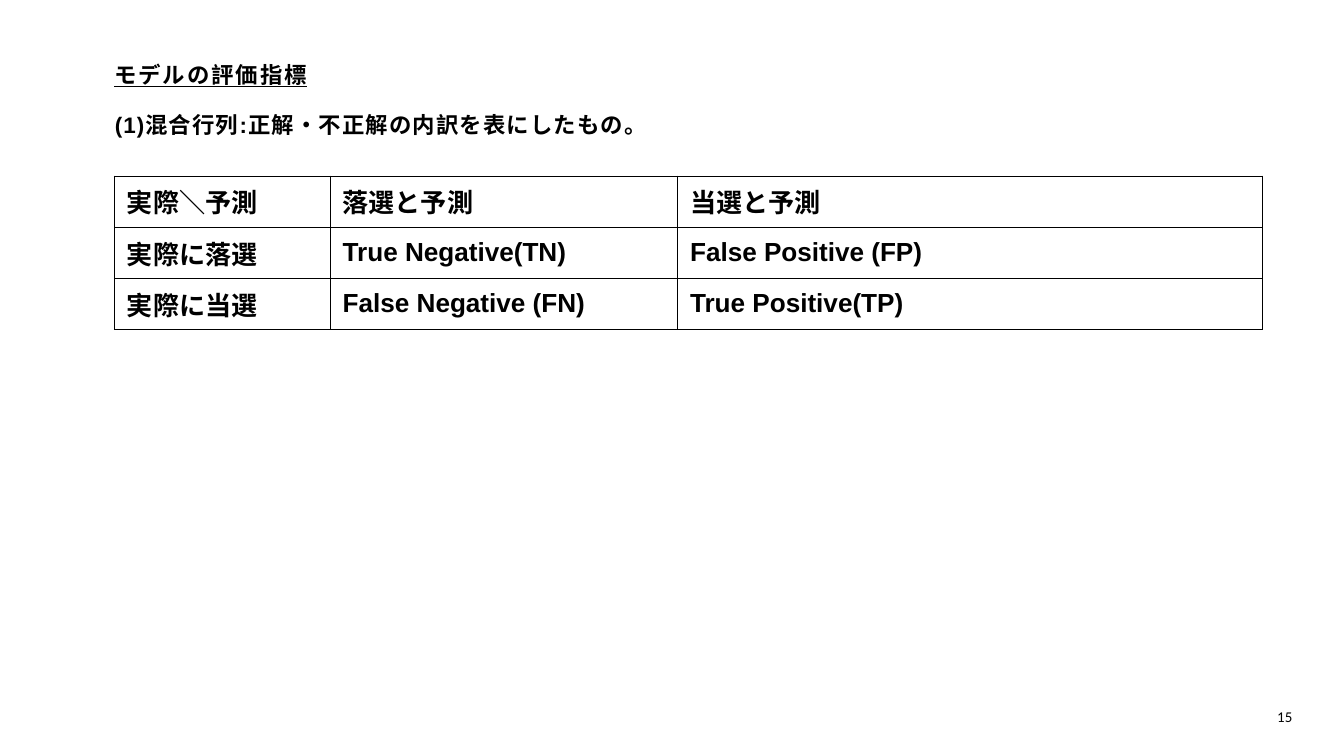
from dataclasses import dataclass

from lxml import etree
from pptx import Presentation
from pptx import util as u
from pptx.dml.color import RGBColor
from pptx.enum import text
from pptx.oxml import ns

BLACK = RGBColor(0x00, 0x00, 0x00)
COLUMN_WIDTHS = (3.21, 5.17, 8.71)
ROW_HEIGHT = 0.76
CONFUSION_MATRIX = (
    ("実際＼予測", "落選と予測", "当選と予測"),
    ("実際に落選", "True Negative(TN)", "False Positive (FP)"),
    ("実際に当選", "False Negative (FN)", "True Positive(TP)"),
)


@dataclass(frozen=True)
class Label:
    """A one-paragraph text box; lengths in inches, type sizes in points."""
    words: str
    left: float
    top: float
    width: float
    height: float
    size: float = 24
    font: str = "Arial"
    bold: bool = True
    underline: bool = False
    tracking: float = 0
    line_spacing: float | u.Pt = 1.0
    level: int = 0
    indent: float = 0
    padding: tuple[float, float] = (0.1, 0.05)
    anchor: text.MSO_ANCHOR = text.MSO_ANCHOR.TOP
    align: text.PP_ALIGN = text.PP_ALIGN.LEFT


LABELS = (
    Label("モデルの評価指標", 1.7, 0.77, 11.6, 0.48, underline=True,
          tracking=2.1, line_spacing=u.Pt(38.4), padding=(0, 0)),
    Label("(1)混合行列:正解・不正解の内訳を表にしたもの。", 1.33, 1.01, 10, 0.92,
          tracking=1.2, line_spacing=2.5, level=1, indent=0.28),
    Label("15", 17, 10.46, 2.33, 0.4, size=16, font="Calibri", bold=False,
          anchor=text.MSO_ANCHOR.MIDDLE, align=text.PP_ALIGN.RIGHT),
)


def style_font(font, name: str, size: float, bold: bool) -> None:
    font.name = name
    font.size = u.Pt(size)
    font.bold = bold
    font.color.rgb = BLACK


def add_label(page, label: Label) -> None:
    box = page.shapes.add_textbox(*map(
        u.Inches, (label.left, label.top, label.width, label.height)))
    frame = box.text_frame
    frame.word_wrap = True
    frame.vertical_anchor = label.anchor
    across, down = map(u.Inches, label.padding)
    frame.margin_left = frame.margin_right = across
    frame.margin_top = frame.margin_bottom = down

    para = frame.paragraphs[0]
    para.alignment = label.align
    para.level = label.level
    para.line_spacing = label.line_spacing
    properties = para._p.get_or_add_pPr()
    properties.set("marL", str(u.Inches(label.indent)))
    properties.set("indent", "0")
    span = para.add_run()
    span.text = label.words
    style_font(para.font, label.font, label.size, label.bold)
    para.font.underline = label.underline
    if label.tracking:
        span._r.get_or_add_rPr().set("spc", str(round(label.tracking * 100)))


def add_borders(cell, width: float = 1) -> None:
    properties = cell._tc.get_or_add_tcPr()
    for position, side in enumerate(("lnL", "lnR", "lnT", "lnB")):
        line = etree.Element(ns.qn(f"a:{side}"), w=str(u.Pt(width)))
        fill = etree.SubElement(line, ns.qn("a:solidFill"))
        etree.SubElement(fill, ns.qn("a:srgbClr"), val=str(BLACK))
        properties.insert(position, line)


def add_matrix(page, left: float, top: float) -> None:
    rows, columns = len(CONFUSION_MATRIX), len(COLUMN_WIDTHS)
    table = page.shapes.add_table(
        rows, columns, u.Inches(left), u.Inches(top),
        u.Inches(sum(COLUMN_WIDTHS)), u.Inches(ROW_HEIGHT * rows)).table
    table.first_row = table.horz_banding = False
    for column, width in zip(table.columns, COLUMN_WIDTHS):
        column.width = u.Inches(width)
    for row, entries in zip(table.rows, CONFUSION_MATRIX):
        row.height = u.Inches(ROW_HEIGHT)
        for cell, entry in zip(row.cells, entries):
            cell.text = entry
            cell.vertical_anchor = text.MSO_ANCHOR.MIDDLE
            cell.margin_left = cell.margin_right = u.Inches(0.19)
            cell.margin_top = cell.margin_bottom = u.Inches(0.09)
            cell.fill.background()
            add_borders(cell)
            style_font(cell.text_frame.paragraphs[0].font, "Arial", 28, True)


def main() -> None:
    deck = Presentation()
    deck.slide_width, deck.slide_height = u.Inches(20), u.Inches(11.25)
    page = deck.slides.add_slide(deck.slide_layouts[6])
    add_matrix(page, 1.7, 2.62)
    for label in LABELS:
        add_label(page, label)
    deck.save("out.pptx")


if __name__ == "__main__":
    main()
